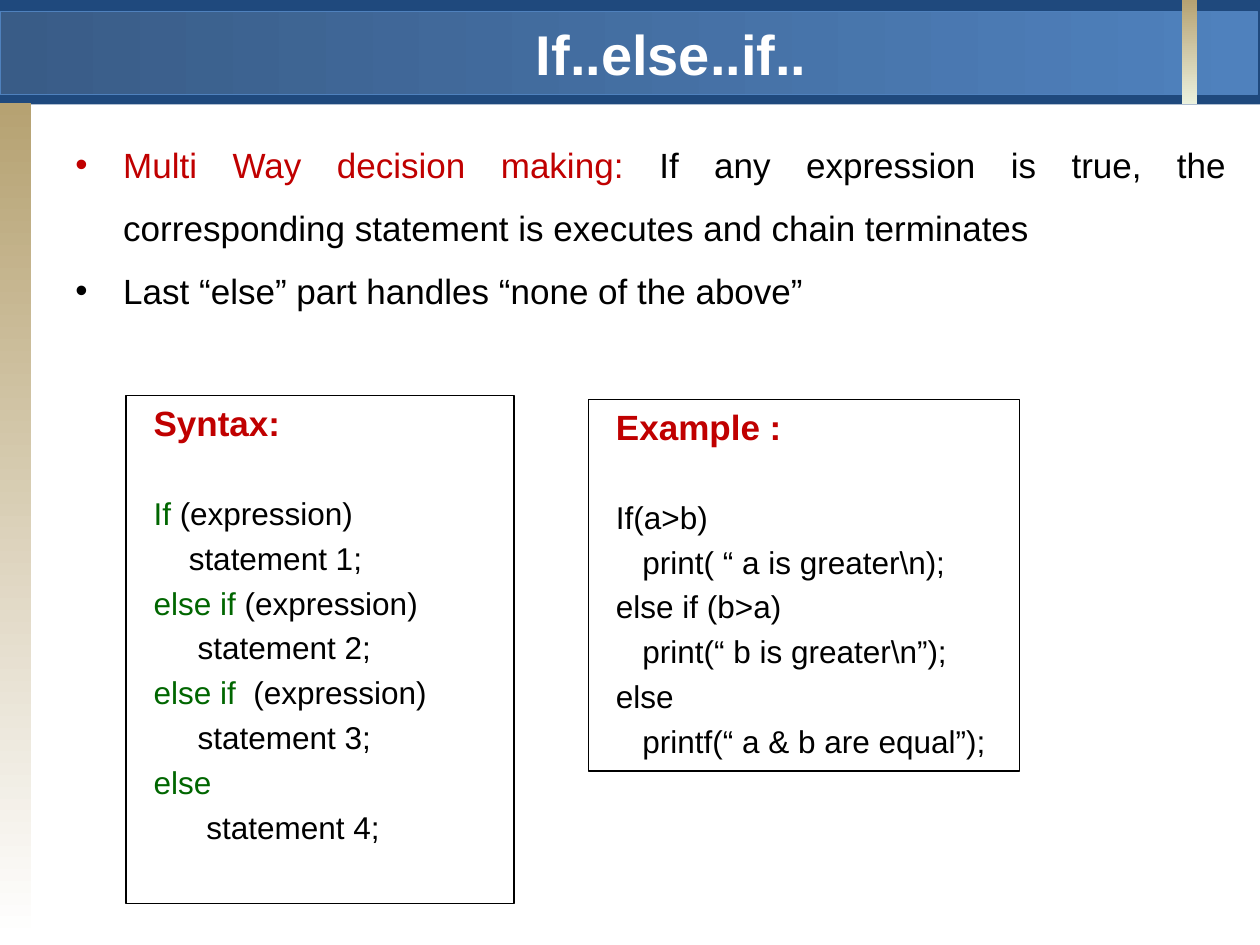
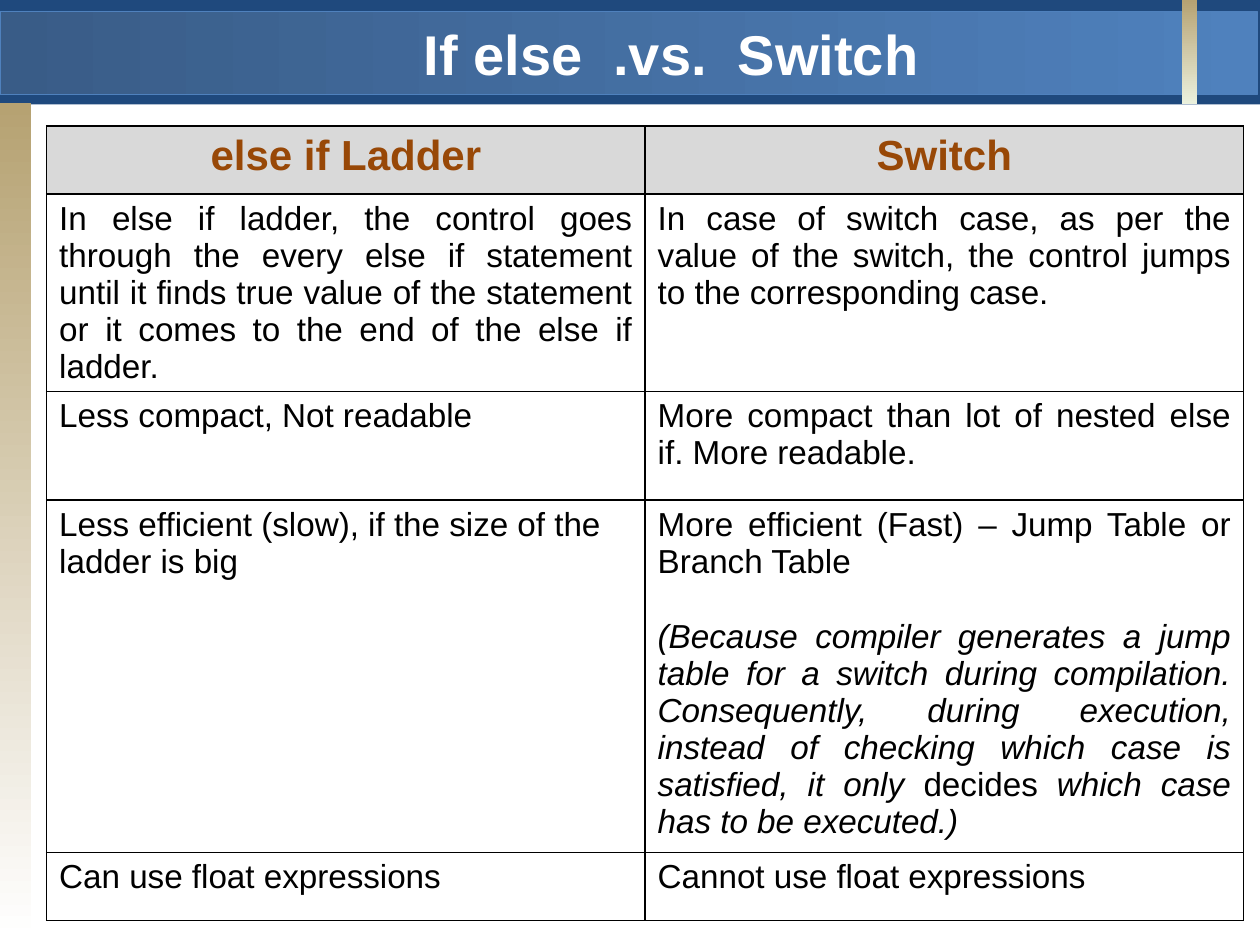
"""Builds two slides that compare the else-if ladder with switch."""
from lxml import etree
from pptx import Presentation, util as u
from pptx.dml.color import RGBColor
from pptx.enum import shapes, text
from pptx.oxml import ns

COLORS = {
    "navy": "1F497D", "steel": "395C87", "blue": "4F81BD", "sand": "B6A272",
    "ivory": "EBF1DE", "white": "FFFFFF", "black": "000000", "red": "C00000",
    "green": "006600", "brown": "984807", "gray": "D9D9D9",
}
ALIGN = text.PP_ALIGN
SPACE_WIDTH = 0.07


class Deck:
    def __init__(self, font="Arial"):
        self.font = font
        self.presentation = Presentation()
        self.presentation.slide_width = u.Inches(10)
        self.presentation.slide_height = u.Inches(7.5)
        self.layout = self.presentation.slide_layouts[5]
        self.slide = None

    def color(self, name):
        return RGBColor.from_string(COLORS[name])

    def add_slide(self, title):
        self.slide = self.presentation.slides.add_slide(self.layout)
        shape = self.slide.shapes.title
        shape.left, shape.top, shape.width, shape.height = map(u.Inches, (1.58, 0.08, 7.5, 0.58))
        frame = shape.text_frame
        frame.vertical_anchor = text.MSO_ANCHOR.MIDDLE
        frame.margin_top, frame.margin_bottom = u.Inches(0.14), u.Inches(0.04)
        paragraph = frame.paragraphs[0]
        paragraph.alignment = ALIGN.CENTER
        self.run(paragraph, title, 32, "white", bold=True)

    def run(self, paragraph, words, size, color="black", bold=False, italic=False):
        run = paragraph.add_run()
        run.text = words
        font = run.font
        font.name, font.size, font.bold, font.italic = self.font, u.Pt(size), bold, italic
        font.color.rgb = self.color(color)

    def paragraph(self, frame, align=None, before=0):
        first = frame.paragraphs[0]
        paragraph = frame.add_paragraph() if first.runs else first
        paragraph.alignment = align
        paragraph.space_before = u.Pt(before)
        return paragraph

    def indent(self, paragraph, margin, first_line):
        properties = paragraph._p.get_or_add_pPr()
        properties.set("marL", str(u.Inches(margin)))
        properties.set("indent", str(u.Inches(first_line)))
        return properties

    def rectangle(self, box, fill=None, line=None):
        shape = self.slide.shapes.add_shape(shapes.MSO_SHAPE.RECTANGLE, *map(u.Inches, box))
        shape.shadow.inherit = False
        if fill:
            shape.fill.solid()
            shape.fill.fore_color.rgb = self.color(fill)
        else:
            shape.fill.background()
        if line:
            shape.line.color.rgb = self.color(line)
            shape.line.width = u.Pt(0.75)
        else:
            shape.line.fill.background()
        return shape

    def gradient(self, box, colors, angle, line=None):
        shape = self.rectangle(box, line=line)
        shape.fill.gradient()
        shape.fill.gradient_angle = angle
        for stop, name in zip(shape.fill.gradient_stops, colors):
            stop.color.rgb = self.color(name)
        return shape

    def bands(self):
        bands = [
            self.rectangle((0, 0, 10, 0.83), "navy"),
            self.gradient((0, 0.09, 9.98, 0.66), ("steel", "blue"), 0, "blue"),
            self.gradient((0, 0.82, 0.25, 6.64), ("sand", "white"), 270),
            self.gradient((9.38, 0, 0.12, 0.83), ("sand", "ivory"), 270),
        ]
        for index, band in enumerate(bands):
            band.element.nvSpPr.cNvPr.id = 20 + index
            self.layout.shapes.element.insert(2 + index, band.element)

    def bullets(self, box, items):
        shape = self.slide.shapes.add_textbox(*map(u.Inches, box))
        frame = shape.text_frame
        frame.word_wrap = True
        for item in items:
            paragraph = self.paragraph(frame, ALIGN.JUSTIFY)
            paragraph.line_spacing = 1.5
            properties = self.indent(paragraph, 0.38, -0.38)
            etree.SubElement(properties, ns.qn("a:buFont"), typeface=self.font)
            etree.SubElement(properties, ns.qn("a:buChar"), char="•")
            for words, color in item:
                self.run(paragraph, words, 20, color)

    def code_box(self, box, heading, lines):
        frame = self.rectangle(box, line="black").text_frame
        frame.word_wrap = True
        frame.vertical_anchor = text.MSO_ANCHOR.TOP
        paragraph = self.paragraph(frame, ALIGN.JUSTIFY, 4)
        self.indent(paragraph, 0.4, -0.28)
        self.run(paragraph, heading, 20, "red", bold=True)
        for index, (spaces, keyword, rest) in enumerate(lines):
            paragraph = self.paragraph(frame, ALIGN.JUSTIFY, 4 if index else 28.7)
            self.indent(paragraph, 0.4, -0.28 + spaces * SPACE_WIDTH)
            for words, color in ((keyword, "green"), (rest, "black")):
                if words:
                    self.run(paragraph, words, 18, color)

    def cell(self, cell, paragraphs, align, size=19, color="black", bold=False, fill=None):
        for index, runs in enumerate(paragraphs):
            paragraph = self.paragraph(cell.text_frame, align, 22 if index else 0)
            for words, italic in runs:
                self.run(paragraph, words, size, color, bold, italic)
        properties = cell._tc.get_or_add_tcPr()
        for side in ("lnL", "lnR", "lnT", "lnB"):
            line = etree.SubElement(properties, ns.qn("a:" + side), w=str(u.Pt(1)))
            solid = etree.SubElement(line, ns.qn("a:solidFill"))
            etree.SubElement(solid, ns.qn("a:srgbClr"), val=COLORS["black"])
        if fill:
            cell.fill.solid()
            cell.fill.fore_color.rgb = self.color(fill)
        else:
            cell.fill.background()

    def table(self, left, top, widths, heights, headings, rows):
        box = map(u.Inches, (left, top, sum(widths), sum(heights)))
        table = self.slide.shapes.add_table(len(heights), len(widths), *box).table
        table.first_row = table.horz_banding = False
        for column, width in zip(table.columns, widths):
            column.width = u.Inches(width)
        for row, height in zip(table.rows, heights):
            row.height = u.Inches(height)
        for column, heading in enumerate(headings):
            self.cell(table.cell(0, column), [[(heading, False)]], ALIGN.CENTER,
                      24, "brown", True, "gray")
        for row, cells in enumerate(rows, 1):
            for column, (align, *paragraphs) in enumerate(cells):
                self.cell(table.cell(row, column), paragraphs, align)


deck = Deck()
deck.add_slide("If..else..if..")
deck.bands()
deck.code_box((1, 3.14, 3.08, 4.03), "Syntax:", [
    (0, "If", " (expression)"),
    (4, "", "statement 1;"),
    (0, "else if ", "(expression)"),
    (5, "", "statement 2;"),
    (0, "else if  ", "(expression)"),
    (5, "", "statement 3;"),
    (0, "else", ""),
    (6, "", "statement 4;"),
])
deck.code_box((4.67, 3.17, 3.42, 2.95), "Example :", [
    (0, "", "If(a>b)"),
    (3, "", "print( “ a is greater\\n);"),
    (0, "", "else if (b>a)"),
    (3, "", "print(“ b is greater\\n”);"),
    (0, "", "else"),
    (3, "", "printf(“ a & b are equal”);"),
])
deck.bullets((0.5, 0.92, 9.33, 1.92), [
    [("Multi Way decision making: ", "red"),
     ("If any expression is true, the corresponding statement is executes "
      "and chain terminates", "black")],
    [("Last “else” part handles “none of the above”", "black")],
])

deck.add_slide("If else  .vs.  Switch")
deck.table(0.37, 1, [4.75] * 2, [0.54, 1.3, 0.86, 2.8, 0.54], ["else if Ladder", "Switch"], [
    [(ALIGN.JUSTIFY, [("In else if ladder, the control goes through the every else if statement "
                       "until it finds true value of the statement or it comes to the end of "
                       "the else if ladder.", False)]),
     (ALIGN.JUSTIFY, [("In case of switch case, as per the value of the switch, the control "
                       "jumps to the corresponding case.", False)])],
    [(ALIGN.LEFT, [("Less compact, Not readable", False)]),
     (ALIGN.JUSTIFY, [("More compact than lot of nested else if. More readable.", False)])],
    [(ALIGN.LEFT, [("Less efficient (slow), if the size of the ladder is big", False)]),
     (ALIGN.JUSTIFY,
      [("More efficient (Fast) – Jump Table or Branch Table", False)],
      [("(Because compiler generates a jump table for a switch during compilation. "
        "Consequently, during execution, instead of checking which case is satisfied, "
        "it only ", True),
       ("decides", False),
       (" which case has to be executed.)", True)])],
    [(ALIGN.LEFT, [("Can use float expressions", False)]),
     (ALIGN.LEFT, [("Cannot use float expressions", False)])],
])
deck.presentation.save("out.pptx")
